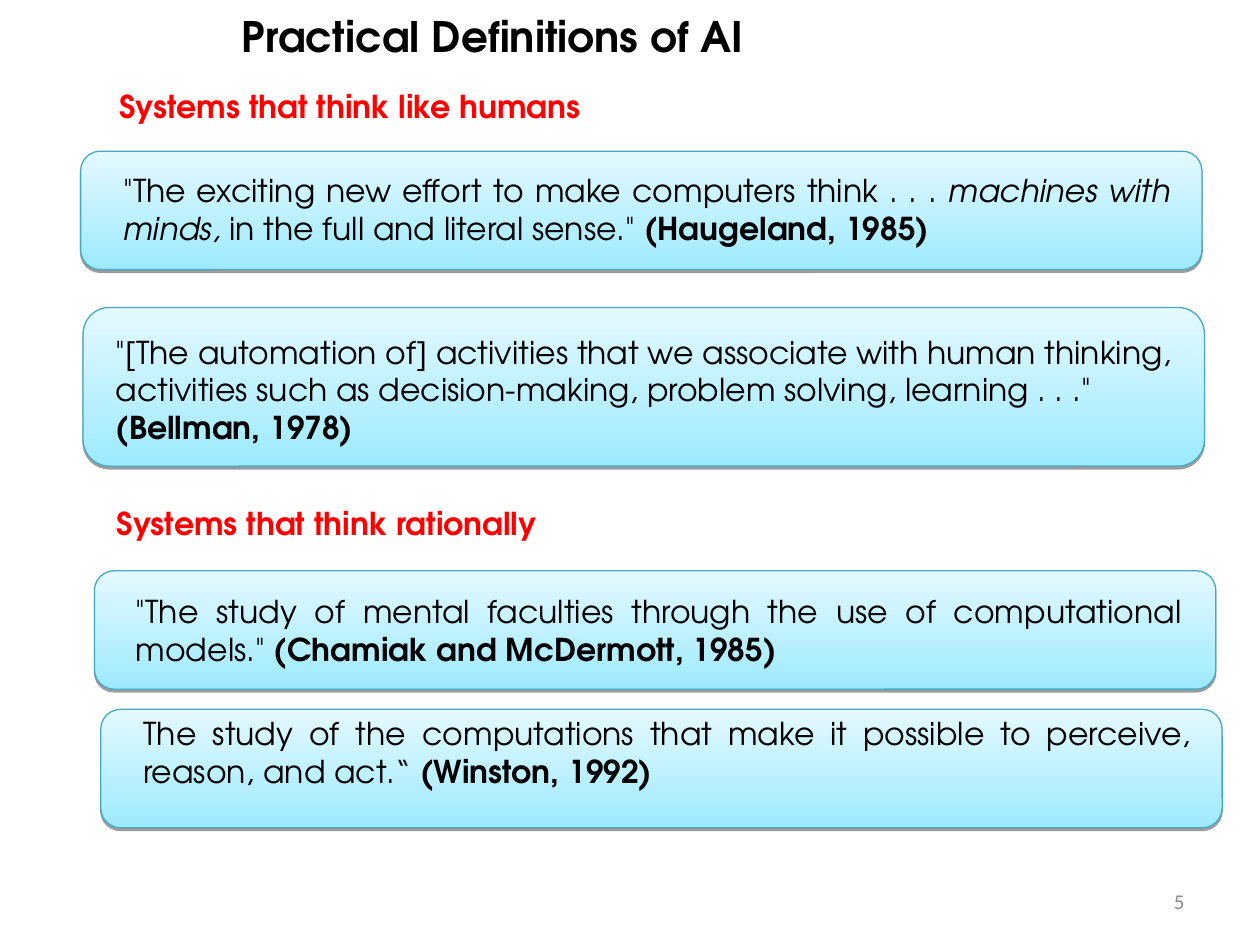
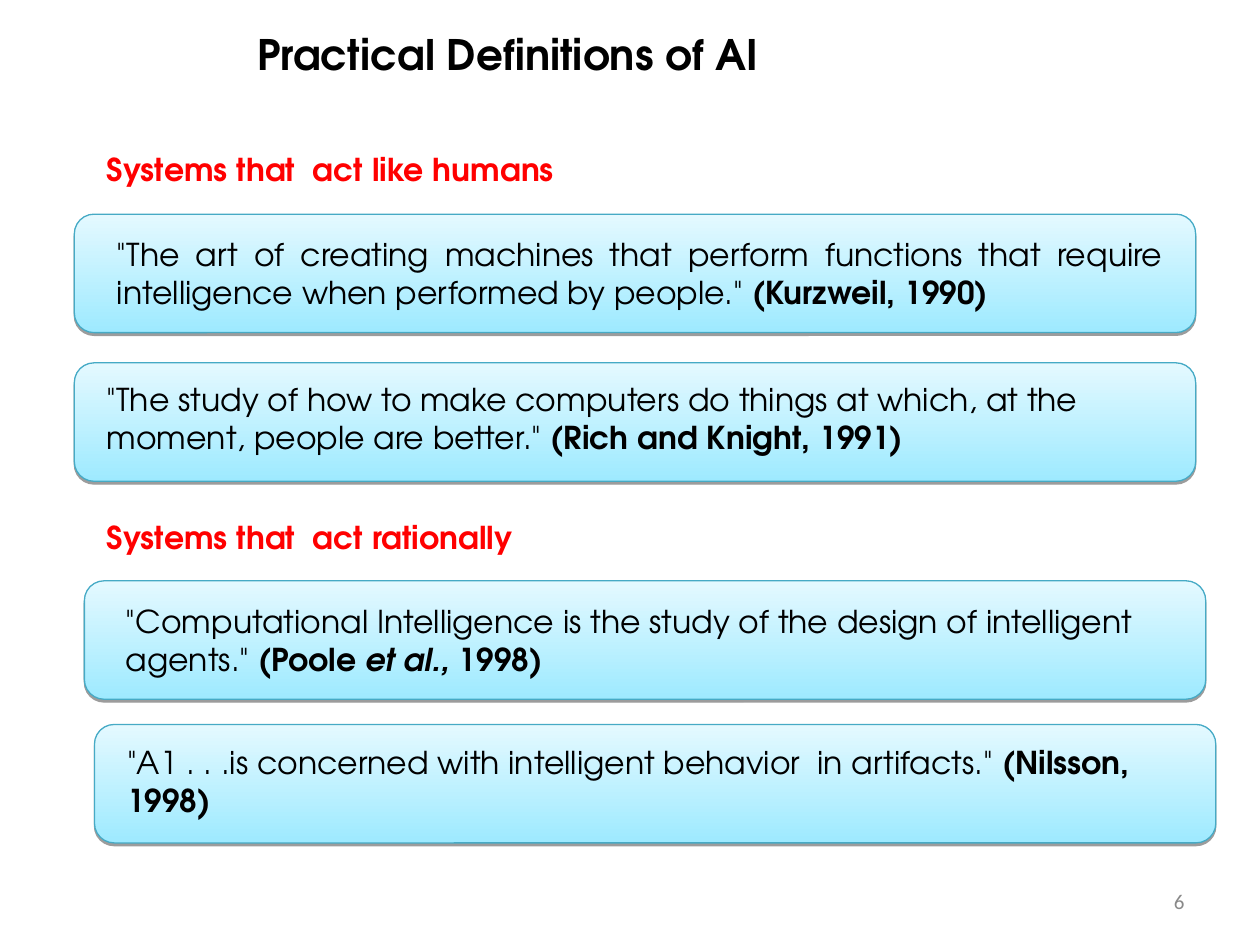
"""Builds two slides of practical definitions of AI, quoted in gradient cards."""
from dataclasses import dataclass

from lxml import etree
from pptx import Presentation
from pptx import util as u
from pptx.dml.color import RGBColor
from pptx.enum import shapes, text
from pptx.oxml import ns


@dataclass(frozen=True)
class Theme:
    font: str = "TeX Gyre Adventor"
    number_font: str = "Calibri"
    title_size: int = 24
    text_size: int = 18
    number_size: int = 12
    ink: str = "000000"
    heading: str = "FF0000"
    number: str = "898989"
    card_bottom: str = "9EEAFF"
    card_top: str = "E4F9FF"
    card_line: str = "46AAC5"


THEME = Theme()
LEFT, RIGHT, JUSTIFY = text.PP_ALIGN.LEFT, text.PP_ALIGN.RIGHT, text.PP_ALIGN.JUSTIFY
TITLE = "Practical Definitions of AI"
CARD_WIDTH, CARD_HEIGHT = 8.9, 0.94
HEADING_SIZE = (6.61, 0.4)
NUMBER_PLACE = (7.17, 6.95, 2.33, 0.4)

SLIDES = [
    {
        "number": "5",
        "title_place": (1.82, 0.03, 6.61, 0.5),
        "headings": [
            ((0.85, 0.64), "Systems that think like humans"),
            ((0.83, 3.95), "Systems that think rationally"),
        ],
        "cards": [
            {"corner": (0.64, 1.2), "quote_place": (0.88, 1.31, 8.51, 0.7), "align": JUSTIFY,
             "spans": [('"The exciting new effort to make computers think . . . ', ""),
                       ("machines with minds, ", "i"),
                       ('in the full and literal sense." ', ""),
                       ("(Haugeland, 1985)", "b")]},
            {"corner": (0.66, 2.44), "height": 1.26, "quote_place": (0.82, 2.59, 8.66, 1),
             "spans": [('"[The automation of] activities that we associate with human thinking, '
                        'activities such as decision-making, problem solving, learning . . ." ', ""),
                       ("(Bellman, 1978)", "b")]},
            {"corner": (0.75, 4.53), "quote_place": (0.98, 4.65, 8.5, 1), "align": JUSTIFY,
             "spans": [('"The study of mental faculties through the use of computational models." ', ""),
                       ("(Chamiak and McDermott, 1985)", "b")]},
            {"corner": (0.8, 5.63), "quote_place": (1.04, 5.62, 8.51, 0.7), "align": JUSTIFY,
             "spans": [("The study of the computations that make it possible to perceive, "
                        "reason, and act.“ ", ""),
                       ("(Winston, 1992)", "b")]},
        ],
    },
    {
        "number": "6",
        "title_place": (1.94, 0.18, 4.8, 0.5),
        "headings": [
            ((0.75, 1.14), "Systems that  act like humans"),
            ((0.75, 4.06), "Systems that  act rationally"),
        ],
        "cards": [
            {"corner": (0.59, 1.7), "quote_place": (0.83, 1.82, 8.5, 0.7), "align": JUSTIFY,
             "spans": [('"The art of creating machines that perform functions that require '
                        'intelligence when performed by people." ', ""),
                       ("(Kurzweil, 1990)", "b")]},
            {"corner": (0.59, 2.88), "quote_place": (0.75, 2.97, 8.66, 0.7),
             "spans": [('"The study of how to make computers do things at which, at the moment, '
                        'people are better." ', ""),
                       ("(Rich and Knight, 1991)", "b")]},
            {"corner": (0.67, 4.61), "quote_place": (0.9, 4.73, 8.51, 0.7),
             "spans": [('"Computational Intelligence is the study of the design of intelligent agents." ', ""),
                       ("(Poole ", "b"), ("et al., ", "bi"), ("1998)", "b")]},
            {"corner": (0.75, 5.75), "quote_place": (0.91, 5.85, 8.58, 0.7),
             "spans": [('"A1 . . .is concerned with intelligent behavior  in artifacts." ', ""),
                       ("(Nilsson, 1998)", "b")]},
        ],
    },
]


def inches(place):
    return [u.Inches(length) for length in place]


def write(box, spans, *, size=THEME.text_size, color=THEME.ink, font=THEME.font,
          align=LEFT, anchor=text.MSO_ANCHOR.TOP, fit=text.MSO_AUTO_SIZE.SHAPE_TO_FIT_TEXT):
    """Fill a box with (words, style) spans; a style holds b for bold and i for italic."""
    frame = box.text_frame
    frame.word_wrap = True
    frame.auto_size = fit
    frame.vertical_anchor = anchor
    para = frame.paragraphs[0]
    para.alignment = align
    for words, style in spans:
        span = para.add_run()
        span.text = words
        span.font.name = font
        span.font.size = u.Pt(size)
        span.font.bold = "b" in style
        span.font.italic = "i" in style
        span.font.color.rgb = RGBColor.from_string(color)


def add_shadow(shape):
    shape.shadow.inherit = False
    effects = shape._element.spPr.find(ns.qn("a:effectLst"))
    shadow = etree.SubElement(effects, ns.qn("a:outerShdw"), blurRad="0",
                              dist=str(u.Pt(1.6)), dir="5400000", rotWithShape="0")
    color = etree.SubElement(shadow, ns.qn("a:srgbClr"), val="000000")
    etree.SubElement(color, ns.qn("a:alpha"), val="38000")


def add_card(page, card):
    group = page.shapes.add_group_shape()
    place = (*card["corner"], CARD_WIDTH, card.get("height", CARD_HEIGHT))
    panel = group.shapes.add_shape(shapes.MSO_SHAPE.ROUNDED_RECTANGLE, *inches(place))
    panel.fill.gradient()
    panel.fill.gradient_angle = 90
    stops = zip(panel.fill.gradient_stops, (0, 1), (THEME.card_bottom, THEME.card_top))
    for stop, position, color in stops:
        stop.position = position
        stop.color.rgb = RGBColor.from_string(color)
    panel.line.color.rgb = RGBColor.from_string(THEME.card_line)
    panel.line.width = u.Pt(0.75)
    add_shadow(panel)
    quote = group.shapes.add_textbox(*inches(card["quote_place"]))
    write(quote, card["spans"], align=card.get("align", LEFT))


def add_page(deck, content):
    page = deck.slides.add_slide(deck.slide_layouts.get_by_name("Title Only"))
    title = page.shapes.title
    title.left, title.top, title.width, title.height = inches(content["title_place"])
    write(title, [(TITLE, "b")], size=THEME.title_size)
    for card in content["cards"]:
        add_card(page, card)
    for corner, words in content["headings"]:
        heading = page.shapes.add_textbox(*inches(corner + HEADING_SIZE))
        write(heading, [(words, "b")], color=THEME.heading)
    number = page.shapes.add_textbox(*inches(NUMBER_PLACE))
    write(number, [(content["number"], "")], size=THEME.number_size, color=THEME.number,
          font=THEME.number_font, align=RIGHT, anchor=text.MSO_ANCHOR.MIDDLE,
          fit=text.MSO_AUTO_SIZE.NONE)


def main():
    deck = Presentation()
    deck.slide_width, deck.slide_height = inches((10, 7.5))
    for content in SLIDES:
        add_page(deck, content)
    deck.save("out.pptx")


if __name__ == "__main__":
    main()
